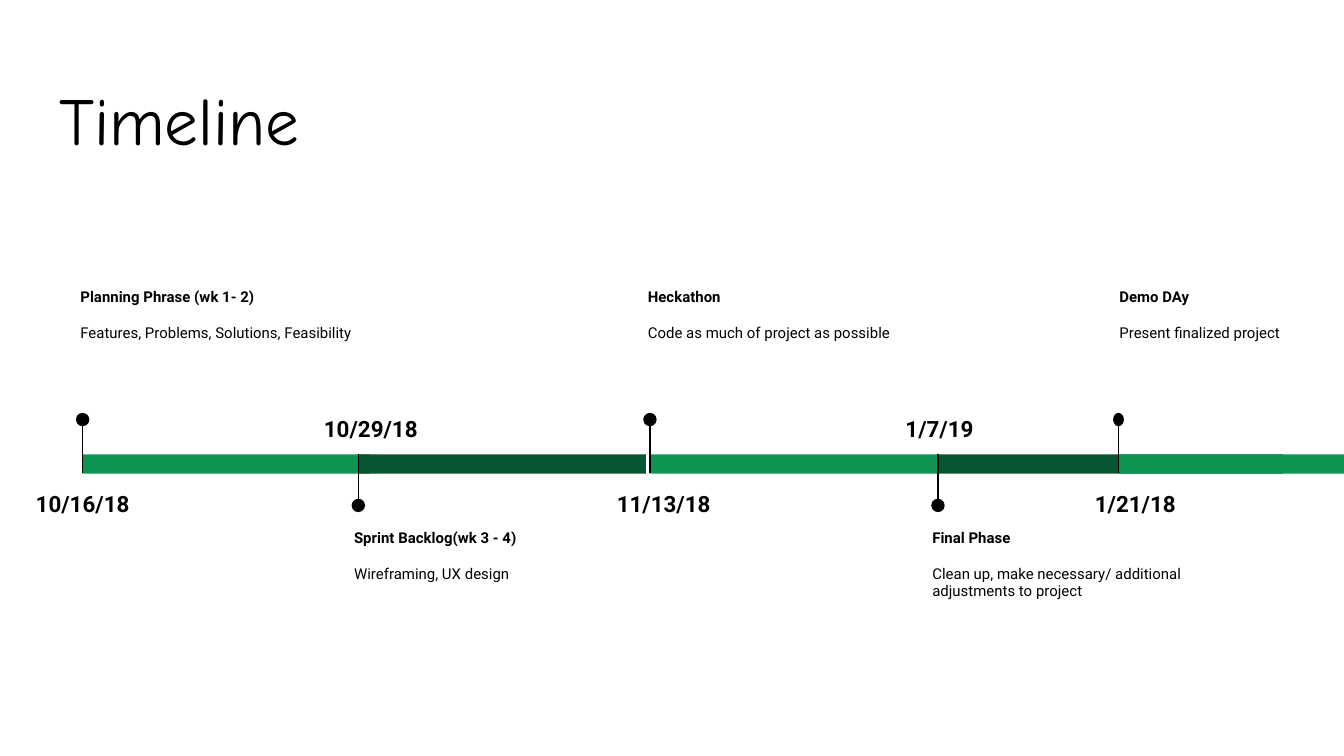
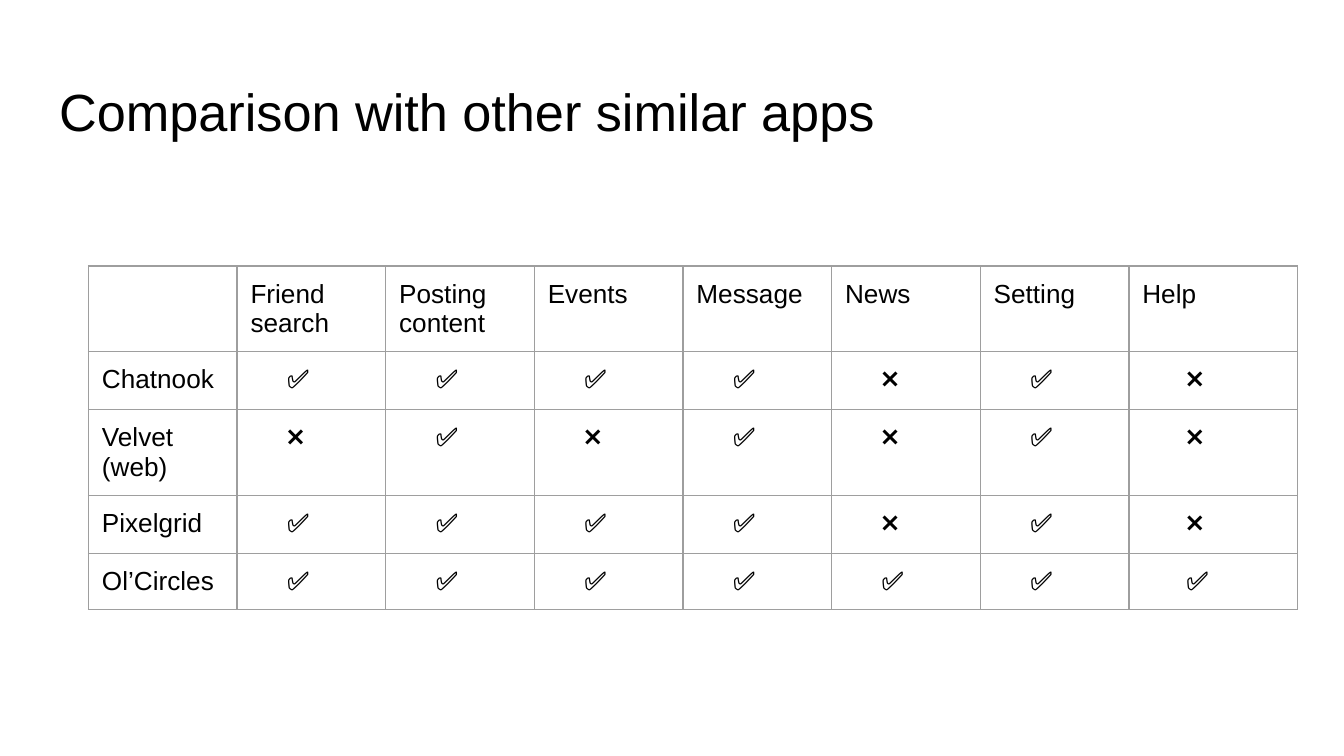
"""Builds a project timeline slide and an app comparison slide."""
from lxml.etree import SubElement
from pptx import Presentation
from pptx.dml.color import RGBColor
from pptx.enum.shapes import MSO_CONNECTOR as Connector, MSO_SHAPE as Shape
from pptx.enum.text import MSO_ANCHOR as Anchor, MSO_AUTO_SIZE as AutoSize, PP_ALIGN as Align
from pptx.oxml import parse_xml
from pptx.oxml.ns import nsdecls, qn
from pptx.util import Pt

BLACK, GREEN, DARK_GREEN, GRAY = "000000", "0E9453", "085631", "9E9E9E"
INSET = 7.2


def write_text(frame, text, size=14, font="Arial", bold=False, align=Align.LEFT,
               line_spacing=1.0, space_after=0, indent=0):
    """Append a formatted paragraph, using the first one if it is empty."""
    paragraph = frame.paragraphs[-1]
    if paragraph.runs:
        paragraph = frame.add_paragraph()
    paragraph.alignment = align
    paragraph.line_spacing = line_spacing
    paragraph.space_after = Pt(space_after)
    if indent:
        paragraph._p.get_or_add_pPr().set("marL", str(Pt(indent)))
    run = paragraph.add_run()
    run.text = text
    run.font.size, run.font.name, run.font.bold = Pt(size), font, bold
    run.font.color.rgb = RGBColor.from_string(BLACK)
    frame.word_wrap = True
    frame.margin_left = frame.margin_right = Pt(INSET)
    frame.margin_top = frame.margin_bottom = Pt(INSET)


def add_filled(shapes, kind, left, top, width, height, color):
    """Add a flat shape without outline."""
    shape = shapes.add_shape(kind, Pt(left), Pt(top), Pt(width), Pt(height))
    shape.shadow.inherit = False
    shape.fill.solid()
    shape.fill.fore_color.rgb = RGBColor.from_string(color)
    shape.line.fill.background()


presentation = Presentation()
presentation.slide_width, presentation.slide_height = Pt(720), Pt(405)

slides = []
for heading, size, font in (("Timeline", 36, "Comic Neue"),
                            ("Comparison with other similar apps", 28, "Arial")):
    slide = presentation.slides.add_slide(presentation.slide_layouts[5])
    title = slide.shapes.title
    title.left, title.top, title.width, title.height = Pt(24.5), Pt(35), Pt(671), Pt(45.1)
    write_text(title.text_frame, heading, size=size, font=font)
    title.text_frame.vertical_anchor = Anchor.TOP
    title.text_frame.auto_size = AutoSize.NONE
    slides.append(slide)
timeline_slide, comparison_slide = slides

BAR_TOP, BAR_HEIGHT, DOT = 243.4, 10.4, 7.2
milestones = [
    ("10/16/18", "Planning Phrase (wk 1- 2)", "Features, Problems, Solutions, Feasibility",
     44.3, 154, 10, 68.5, 36, 177),
    ("10/29/18", "Sprint Backlog(wk 3 - 4)", "Wireframing, UX design",
     192, 154, 162.7, 72, 182.6, 177),
    ("11/13/18", "Heckathon", "Code as much of project as possible",
     348.2, 154, 322.6, 66, 340, 177),
    ("1/7/19", "Final Phase", "Clean up, make necessary/ additional adjustments to project",
     502.5, 185, 473.8, 59, 492.4, 177),
    ("1/21/18", "Demo DAy", "Present finalized project",
     599.2, 123, 578.2, 60, 592.6, 142),
]
for number, (date, heading, detail, bar_left, bar_width, date_left, date_width,
             note_left, note_width) in enumerate(milestones):
    if number % 2 == 0:
        color, stem_from, stem_to, date_top, note_top = GREEN, 225.4, 253.6, 253.4, 146.9
    else:
        color, stem_from, stem_to, date_top, note_top = DARK_GREEN, 271.4, 243.4, 213, 275.8
    shapes = timeline_slide.shapes.add_group_shape().shapes
    add_filled(shapes, Shape.RECTANGLE, bar_left, BAR_TOP, bar_width, BAR_HEIGHT, color)

    stem = shapes.add_connector(Connector.STRAIGHT, Pt(bar_left), Pt(stem_from),
                                Pt(bar_left), Pt(stem_to))
    stem.line.color.rgb = RGBColor.from_string(BLACK)
    stem.line.width = Pt(0.75)
    SubElement(stem._element.spPr, qn("a:effectLst"))
    dot_width = 5.8 if number == len(milestones) - 1 else DOT
    add_filled(shapes, Shape.OVAL, bar_left - dot_width / 2, stem_from - DOT / 2 - 0.6,
               dot_width, DOT, BLACK)

    date_box = shapes.add_textbox(Pt(date_left), Pt(date_top), Pt(date_width), Pt(29.5))
    write_text(date_box.text_frame, date, size=12, font="Roboto", bold=True,
               align=Align.CENTER, line_spacing=1.15, space_after=16)
    note_box = shapes.add_textbox(Pt(note_left), Pt(note_top), Pt(note_width), Pt(74))
    write_text(note_box.text_frame, heading, size=8, font="Roboto", bold=True, space_after=9.6)
    write_text(note_box.text_frame, detail, size=8, font="Roboto", space_after=16)

features = ["", "Friend search", "Posting content", "Events", "Message", "News", "Setting", "Help"]
apps = [
    ("Chatnook", "✅✅✅✅❌✅❌"),
    ("Velvet\n(web)", "❌✅❌✅❌✅❌"),
    ("Pixelgrid", "✅✅✅✅❌✅❌"),
    ("Ol’Circles", "✅✅✅✅✅✅✅"),
]
rows = [features] + [[app, *marks] for app, marks in apps]
column_widths = [79.65] * 7 + [90.3]
row_heights = [45.8, 31, 46, 31, 30.2]
table = comparison_slide.shapes.add_table(
    len(rows), len(features), Pt(47.4), Pt(142.5),
    Pt(sum(column_widths)), Pt(sum(row_heights))).table
table.first_row = table.horz_banding = False
for column, width in zip(table.columns, column_widths):
    column.width = Pt(width)
for row, height in zip(table.rows, row_heights):
    row.height = Pt(height)

for row_number, row in enumerate(rows):
    for column_number, text in enumerate(row):
        cell = table.cell(row_number, column_number)
        cell.margin_left = cell.margin_right = Pt(INSET)
        cell.margin_top = cell.margin_bottom = Pt(INSET)
        properties = cell._tc.get_or_add_tcPr()
        for side in "LRTB":
            properties.append(parse_xml(
                f'<a:ln{side} {nsdecls("a")} w="{Pt(0.75)}"><a:solidFill>'
                f'<a:srgbClr val="{GRAY}"/></a:solidFill></a:ln{side}>'))
        cell.fill.background()
        indent = 0
        if row_number and column_number:
            indent = 23.4 if column_number == len(row) - 1 else 19.5
        for line in text.splitlines():
            write_text(cell.text_frame, line, indent=indent)

presentation.save("out.pptx")
